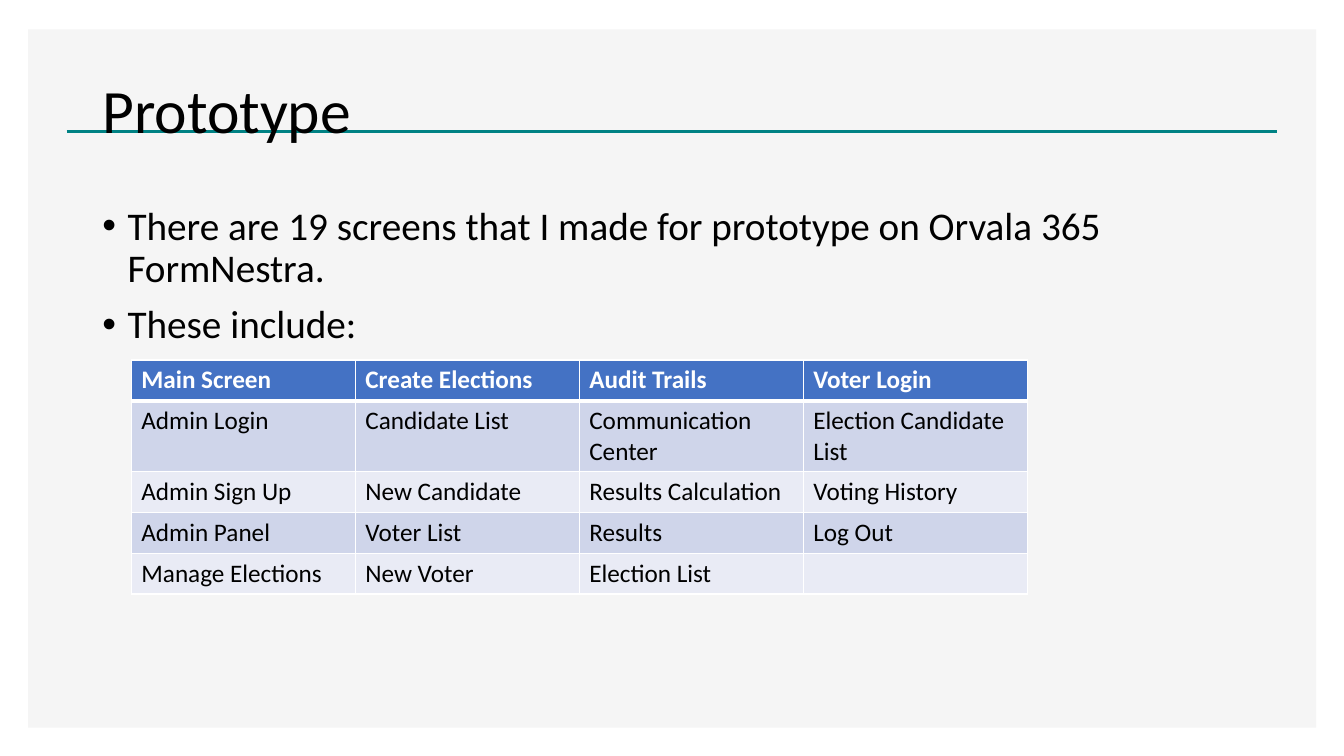
from lxml.etree import SubElement
from pptx import Presentation
from pptx.dml.color import RGBColor
from pptx.enum.shapes import MSO_CONNECTOR as Connector, MSO_SHAPE as Shape
from pptx.enum.text import MSO_ANCHOR as Anchor
from pptx.oxml.ns import qn
from pptx.util import Cm, Pt


def rgb(value):
    return RGBColor.from_string(value)


def write(paragraph, text, size=18, color="000000", bold=False,
          line_spacing=1.0, space_before=0, bullet=None):
    if bullet:
        properties = paragraph._p.get_or_add_pPr()
        properties.set("marL", str(Cm(0.635)))
        properties.set("indent", str(-Cm(0.635)))
        SubElement(properties, qn("a:buFont"), typeface="Arial")
        SubElement(properties, qn("a:buChar"), char=bullet)
    paragraph.line_spacing = line_spacing
    paragraph.space_before = Pt(space_before)
    paragraph.text = text
    font = paragraph.font
    font.name, font.size, font.bold = "Calibri", Pt(size), bold
    font.color.rgb = rgb(color)


prs = Presentation()
prs.slide_width, prs.slide_height = Cm(33.87), Cm(19.05)
slide = prs.slides.add_slide(prs.slide_layouts[6])
shapes = slide.shapes

# Grey panel and teal rule
panel = shapes.add_shape(Shape.RECTANGLE, Cm(0.71), Cm(0.74), Cm(32.46), Cm(17.6))
panel.shadow.inherit = False
panel.fill.solid()
panel.fill.fore_color.rgb = rgb("F5F5F5")
panel.line.fill.background()

rule = shapes.add_connector(Connector.STRAIGHT, Cm(1.68), Cm(3.32), Cm(32.18), Cm(3.32))
rule.line.color.rgb = rgb("008284")
rule.line.width = Pt(2)
SubElement(rule._element.spPr, qn("a:effectLst"))

# Title
title = shapes.add_textbox(Cm(2.33), Cm(1.01), Cm(29.21), Cm(3.68)).text_frame
title.word_wrap = True
title.vertical_anchor = Anchor.MIDDLE
write(title.paragraphs[0], "Prototype", size=44, line_spacing=0.9)

# Introduction
intro = shapes.add_textbox(Cm(2.33), Cm(5.07), Cm(29.21), Cm(12.09)).text_frame
intro.word_wrap = True
points = [
    "There are 19 screens that I made for prototype on Orvala 365 FormNestra.",
    "These include:",
]
for i, point in enumerate(points):
    paragraph = intro.add_paragraph() if i else intro.paragraphs[0]
    write(paragraph, point, size=28, line_spacing=0.9,
          space_before=10 if i else 0, bullet="•")

# Table of screens
screens = [
    ["Main Screen", "Create Elections", "Audit Trails", "Voter Login"],
    ["Admin Login", "Candidate List", "Communication Center", "Election Candidate List"],
    ["Admin Sign Up", "New Candidate", "Results Calculation", "Voting History"],
    ["Admin Panel", "Voter List", "Results", "Log Out"],
    ["Manage Elections", "New Voter", "Election List", ""],
]
table = shapes.add_table(len(screens), len(screens[0]), Cm(3.31), Cm(9.07),
                         Cm(22.58), Cm(5.15)).table
for row in table.rows:
    row.height = Cm(1.03)

for r, names in enumerate(screens):
    for c, name in enumerate(names):
        cell = table.cell(r, c)
        header = r == 0
        write(cell.text_frame.paragraphs[0], name, bold=header,
              color="FFFFFF" if header else "000000")
        # White borders, thicker below the header
        for side in ("lnL", "lnR", "lnT", "lnB"):
            thick = (r, side) in ((0, "lnB"), (1, "lnT"))
            border = SubElement(cell._tc.get_or_add_tcPr(), qn(f"a:{side}"),
                                w=str(Pt(3 if thick else 1)))
            SubElement(SubElement(border, qn("a:solidFill")), qn("a:srgbClr"), val="FFFFFF")
        cell.fill.solid()
        cell.fill.fore_color.rgb = rgb("4472C4" if header else "CFD5EA" if r % 2 else "E9EBF5")

prs.save("out.pptx")
